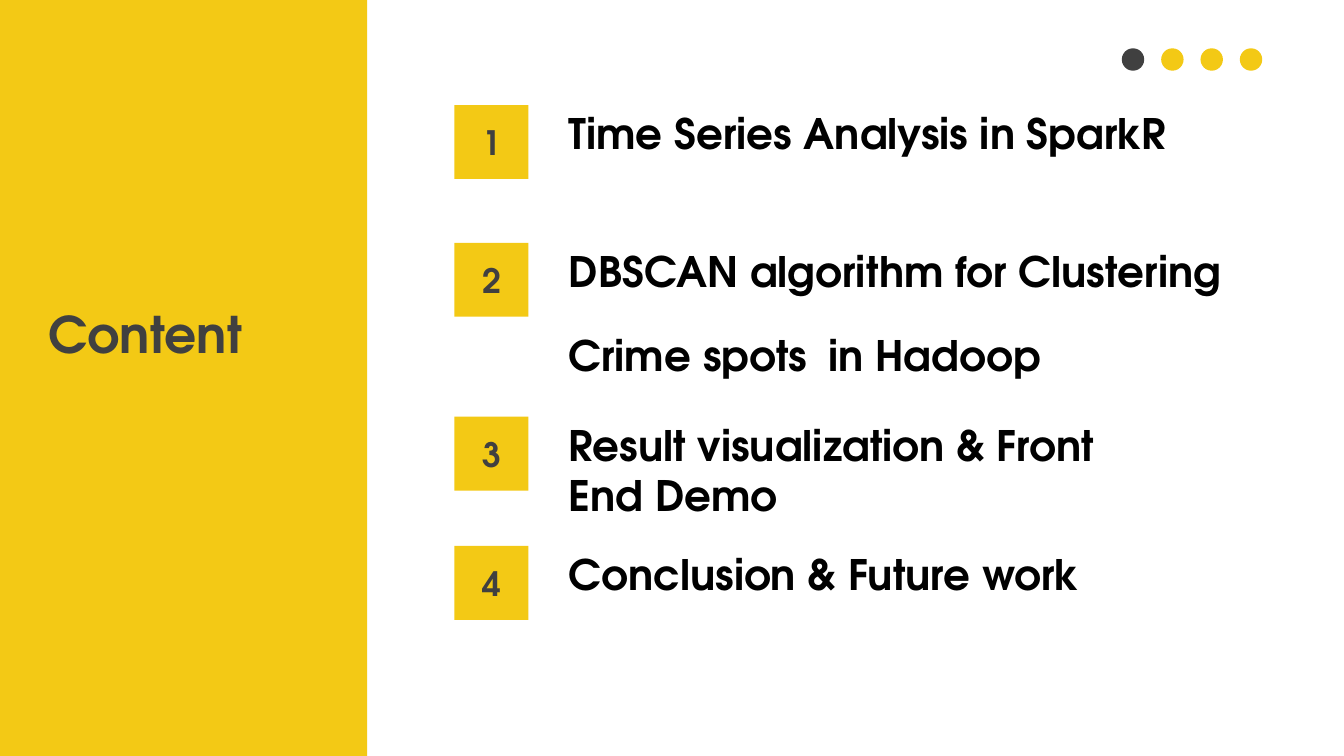
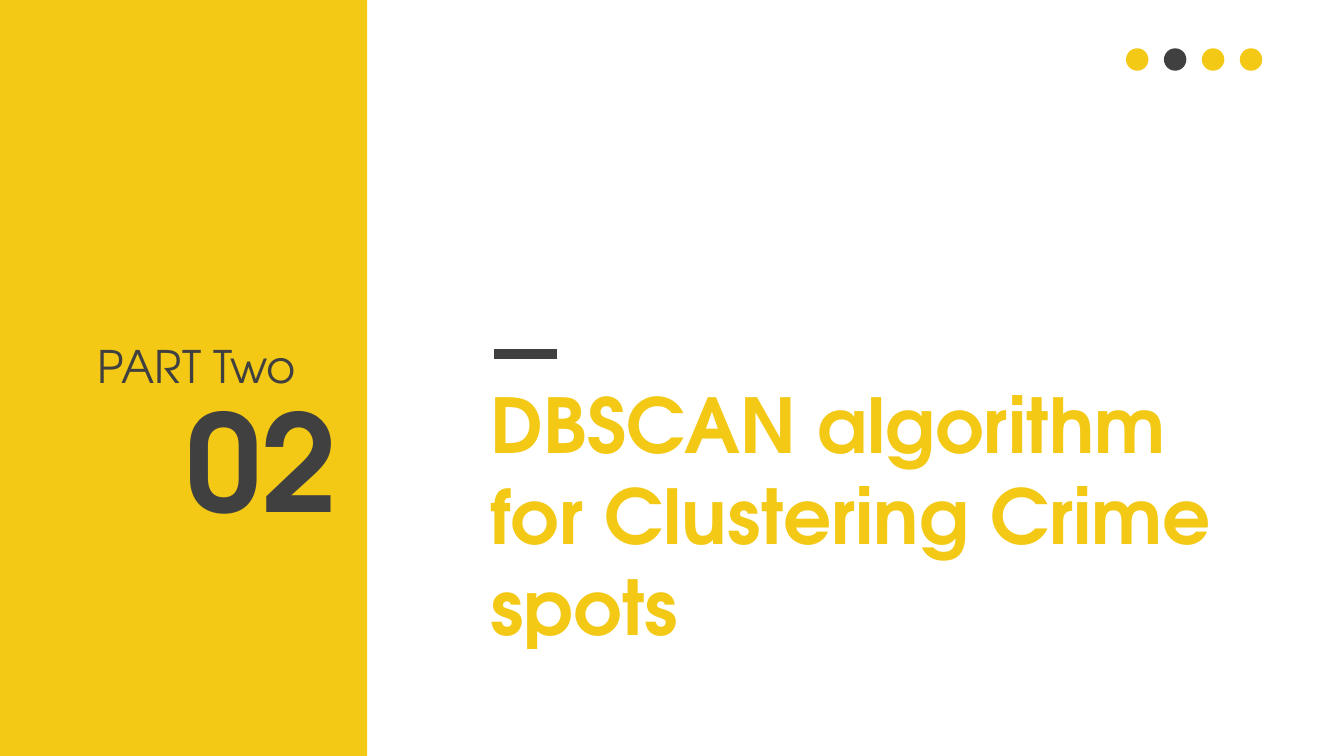
from lxml import etree
from pptx import Presentation
from pptx.dml.color import RGBColor
from pptx.enum.shapes import MSO_CONNECTOR as CONN, MSO_SHAPE as SHAPE
from pptx.enum.text import MSO_ANCHOR as ANCHOR, MSO_AUTO_SIZE as AUTOSIZE, PP_ALIGN as ALIGN
from pptx.oxml.ns import qn
from pptx.util import Inches, Pt

COLORS = {"yellow": "F3C915", "dark": "404040", "black": "000000"}
FONT = "TeX Gyre Adventor"
COLS, ROWS = 160, 90
BAND_COLS = 43.7
DOT_COUNT, DOT_SIZE, DOT_ROW, LAST_DOT_COL = 4, 2.67, 5.75, 147.6
TILE_COL, TILE_SIZE = 54.1, 8.8
ITEM_COL, ITEM_RISE, ITEM_ROWS = 66.5, 0.25, 9.25
SECTION_LAYOUT, AGENDA_LAYOUT = 2, 4

AGENDA = [
    (12.5, 74.4, [("Time Series Analysis in SparkR", 30)]),
    (28.9, 83.8, [("DBSCAN algorithm for Clustering Crime spots", 30),
                  (" ", 54), ("in Hadoop", 30)]),
    (49.6, 74.4, [("Result visualization & Front End Demo", 30)]),
    (65, 74.4, [("Conclusion & Future work", 30)]),
]


def rgb(name):
    return RGBColor.from_string(COLORS[name])


class Deck:
    def __init__(self):
        self.prs = Presentation()
        self.prs.slide_width, self.prs.slide_height = Inches(13.333), Inches(7.5)
        self.s = None

    def box(self, col, row, cols, rows):
        dx, dy = self.prs.slide_width / COLS, self.prs.slide_height / ROWS
        return [int(v) for v in (col * dx, row * dy, cols * dx, rows * dy)]

    def slide(self, layout, active, first_dot):
        self.s = self.prs.slides.add_slide(self.prs.slide_layouts[layout])
        band = self.shape(SHAPE.RECTANGLE, (0, 0, BAND_COLS, ROWS))
        self.s.shapes._spTree.insert(2, band._element)
        pitch = (LAST_DOT_COL - first_dot) / (DOT_COUNT - 1)
        for i in range(DOT_COUNT):
            self.shape(SHAPE.OVAL, (first_dot + i * pitch, DOT_ROW, DOT_SIZE, DOT_SIZE),
                       "dark" if i == active else "yellow")

    def shape(self, kind, area, color="yellow"):
        sp = self.s.shapes.add_shape(kind, *self.box(*area))
        sp.shadow.inherit = False
        sp.fill.solid()
        sp.fill.fore_color.rgb = rgb(color)
        sp.line.fill.background()
        return sp

    def set_text(self, sp, runs, color="dark", bold=True, align=ALIGN.LEFT, anchor=ANCHOR.TOP):
        tf = sp.text_frame
        frame = {"word_wrap": True, "auto_size": AUTOSIZE.NONE, "vertical_anchor": anchor,
                 "margin_left": Inches(0.1), "margin_right": Inches(0.1),
                 "margin_top": Inches(0.05), "margin_bottom": Inches(0.05)}
        for key, value in frame.items():
            setattr(tf, key, value)
        p = tf.paragraphs[0]
        for key, value in {"alignment": align, "space_before": Pt(0)}.items():
            setattr(p, key, value)
        for text, size in runs:
            r = p.add_run()
            r.text = text
            for key, value in {"name": FONT, "size": Pt(size), "bold": bold}.items():
                setattr(r.font, key, value)
            r.font.color.rgb = rgb(color)
            r.font._element.set("cap", "none")

    def holder(self, idx, area, runs, **style):
        sp = self.s.placeholders[idx]
        for key, value in zip(("left", "top", "width", "height"), self.box(*area)):
            setattr(sp, key, value)
        self.set_text(sp, runs, **style)
        pPr = sp.text_frame.paragraphs[0]._p.get_or_add_pPr()
        for key in ("marL", "indent"):
            pPr.set(key, "0")
        etree.SubElement(pPr, qn("a:buNone"))

    def text(self, area, runs, **style):
        self.set_text(self.s.shapes.add_textbox(*self.box(*area)), runs, **style)

    def tile(self, row, label):
        sp = self.shape(SHAPE.RECTANGLE, (TILE_COL, row, TILE_SIZE, TILE_SIZE))
        self.set_text(sp, [(label, 24)], align=ALIGN.CENTER, anchor=ANCHOR.MIDDLE)

    def rule(self, col, row, cols, weight):
        x, y, w, _ = self.box(col, row, cols, 0)
        ln = self.s.shapes.add_connector(CONN.STRAIGHT, x, y, x + w, y)
        ln.line.color.rgb = rgb("dark")
        ln.line.width = Pt(weight)
        etree.SubElement(ln._element.spPr, qn("a:effectLst"))


def agenda(deck):
    deck.slide(AGENDA_LAYOUT, active=0, first_dot=133.55)
    deck.holder(0, (4.55, 35.5, BAND_COLS, 7.7), [("Content", 36)])
    for n, (row, cols, runs) in enumerate(AGENDA, 1):
        deck.tile(row, str(n))
        deck.holder(n, (ITEM_COL, row - ITEM_RISE, cols, ITEM_ROWS), runs, color="black")


def section(deck):
    deck.slide(SECTION_LAYOUT, active=1, first_dot=134.05)
    deck.holder(1, (10.45, 39.7, 28.7, 7.7), [("PART Two", 32)], bold=False)
    deck.text((20.15, 44.4, 21.1, 20.6), [("02", 96)], align=ALIGN.RIGHT)
    deck.rule(58.8, 42.1, 7.5, 7)
    deck.holder(0, (57.2, 44.4, 94.9, 34),
                [("DBSCAN algorithm for Clustering Crime spots", 54)], color="yellow")


def main():
    deck = Deck()
    agenda(deck)
    section(deck)
    deck.prs.save("out.pptx")


if __name__ == "__main__":
    main()
